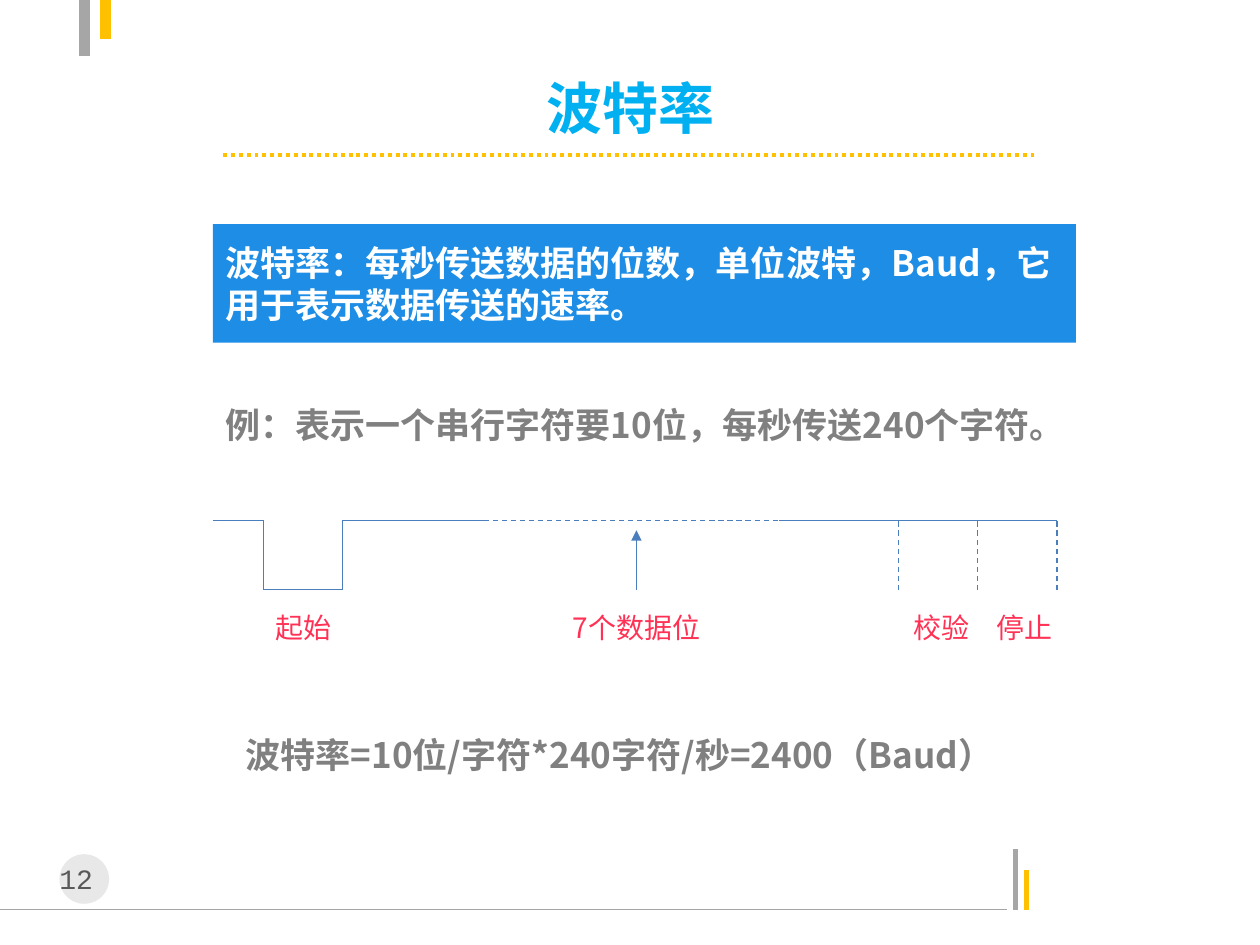
import pptx
import pptx.dml.color
import pptx.enum.dml
import pptx.enum.shapes
import pptx.enum.text
import pptx.oxml
import pptx.oxml.ns
import pptx.util
from pptx.util import Cm

RGBColor = pptx.dml.color.RGBColor
GREY = RGBColor(0xA6, 0xA6, 0xA6)
AMBER = RGBColor(0xFF, 0xC0, 0x00)
BADGE = RGBColor(0xBF, 0xBF, 0xBF)
NUMBER = RGBColor(0x59, 0x59, 0x59)
CYAN = RGBColor(0x00, 0xB0, 0xF0)
BLUE = RGBColor(0x1D, 0x8D, 0xE5)
SIGNAL = RGBColor(0x4B, 0x7E, 0xBC)
RED = RGBColor(0xFF, 0x32, 0x55)
BODY = RGBColor(0x80, 0x80, 0x80)
WHITE = RGBColor(0xFF, 0xFF, 0xFF)
SANS = "Noto Sans CJK SC"
DASH = pptx.enum.dml.MSO_LINE.DASH
DOTS = pptx.enum.dml.MSO_LINE.ROUND_DOT
MIDDLE = pptx.enum.text.MSO_ANCHOR.MIDDLE
TOP = pptx.enum.text.MSO_ANCHOR.TOP
LEFT = pptx.enum.text.PP_ALIGN.LEFT
CENTER = pptx.enum.text.PP_ALIGN.CENTER


def draw_line(x1, y1, x2, y2, color, width, dash=None):
    connector = slide.shapes.add_connector(
        pptx.enum.shapes.MSO_CONNECTOR.STRAIGHT, Cm(x1), Cm(y1), Cm(x2), Cm(y2))
    connector.line.color.rgb = color
    connector.line.width = pptx.util.Pt(width)
    if dash:
        connector.line.dash_style = dash
    pptx.oxml.ns.qn("a:effectLst")
    connector._element.spPr.append(
        connector._element.makeelement(pptx.oxml.ns.qn("a:effectLst"), {}))
    return connector


def write(shape, text, size, color, bold=False, align=LEFT, anchor=MIDDLE, font=SANS, wrap=True):
    frame = shape.text_frame
    frame.word_wrap = wrap
    frame.vertical_anchor = anchor
    paragraph = frame.paragraphs[0]
    paragraph.text = text
    paragraph.alignment = align
    paragraph.font.name = font
    paragraph.font.size = pptx.util.Pt(size)
    paragraph.font.bold = bold
    paragraph.font.color.rgb = color
    latin = paragraph._p.find(".//" + pptx.oxml.ns.qn("a:latin"))
    latin.addnext(latin.makeelement(pptx.oxml.ns.qn("a:ea"), {"typeface": font}))


deck = pptx.Presentation()
deck.slide_width, deck.slide_height = Cm(25.4), Cm(19.05)
slide = deck.slides.add_slide(deck.slide_layouts[5])

for x1, y1, x2, y2, color, width in (
    (0, 18.34, 20.29, 18.34, GREY, 0.75),
    (20.47, 18.34, 20.47, 17.12, GREY, 3),
    (20.7, 18.34, 20.7, 17.53, AMBER, 3),
    (1.7, 0, 1.7, 1.12, GREY, 6),
    (2.13, 0, 2.13, 0.79, AMBER, 6),
):
    draw_line(x1, y1, x2, y2, color, width)

badge = slide.shapes.add_shape(
    pptx.enum.shapes.MSO_SHAPE.OVAL, Cm(1.2), Cm(17.22), Cm(1), Cm(1))
badge.shadow.inherit = False
badge.fill.solid()
badge.fill.fore_color.rgb = BADGE
badge.line.fill.background()
badge_color = badge._element.spPr.find(".//" + pptx.oxml.ns.qn("a:srgbClr"))
badge_color.append(badge_color.makeelement(pptx.oxml.ns.qn("a:alpha"), {"val": "35000"}))
page_number = slide.shapes.add_textbox(Cm(0.79), Cm(17.25), Cm(1.8), Cm(0.94))
page_number.text_frame.margin_left = Cm(0.41)
write(page_number, "12", 16, NUMBER, anchor=TOP, font="Courier New")

title = slide.shapes.title
title.left, title.top, title.width, title.height = Cm(3.5), Cm(1.52), Cm(18.42), Cm(1.27)
write(title, "波特率", 32, CYAN, bold=True, align=CENTER, wrap=False)
draw_line(4.5, 3.12, 20.9, 3.12, AMBER, 2.25, DOTS)

definition = slide.shapes.add_shape(
    pptx.enum.shapes.MSO_SHAPE.RECTANGLE, Cm(4.29), Cm(4.52), Cm(17.4), Cm(2.39))
definition.shadow.inherit = False
definition.fill.solid()
definition.fill.fore_color.rgb = BLUE
definition.line.fill.background()
write(definition, "波特率：每秒传送数据的位数，单位波特，Baud，它用于表示数据传送的速率。",
      20, WHITE, bold=True)

for left, top, text in (
    (4.29, 7.52, "例：表示一个串行字符要10位，每秒传送240个字符。"),
    (4.7, 14.17, "波特率=10位/字符*240字符/秒=2400（Baud）"),
):
    statement = slide.shapes.add_textbox(Cm(left), Cm(top), Cm(17.4), Cm(2.08))
    write(statement, text, 20, BODY, bold=True)

high, low = 10.49, 11.89
idle, start, data, dots, solid, parity, stop, end = (
    4.29, 5.31, 6.91, 9.75, 15.7, 18.11, 19.71, 21.31)
for x1, x2, y, dash in (
    (idle, start, high, None),
    (start, data, low, None),
    (data, dots, high, None),
    (dots, solid, high, DASH),
    (solid, parity, high, None),
    (parity, stop, high, None),
    (stop, end, high, None),
):
    draw_line(x1, y, x2, y, SIGNAL, 0.75, dash)
for x, dash in ((start, None), (data, None), (parity, DASH), (stop, DASH), (end, DASH)):
    draw_line(x, low, x, high, SIGNAL, 0.75, dash)

data_arrow = draw_line(12.83, low, 12.83, 10.69, SIGNAL, 0.75)
arrow_line = data_arrow.line._get_or_add_ln()
arrow_line.append(arrow_line.makeelement(pptx.oxml.ns.qn("a:tailEnd"), {"type": "triangle"}))

for left, width, text in (
    (5.31, 1.65, "起始"),
    (11.3, 3.53, "7个数据位"),
    (18.16, 1.65, "校验"),
    (19.84, 1.65, "停止"),
):
    bit_label = slide.shapes.add_textbox(Cm(left), Cm(12.19), Cm(width), Cm(0.94))
    write(bit_label, text, 16, RED, anchor=TOP)

deck.save("out.pptx")
